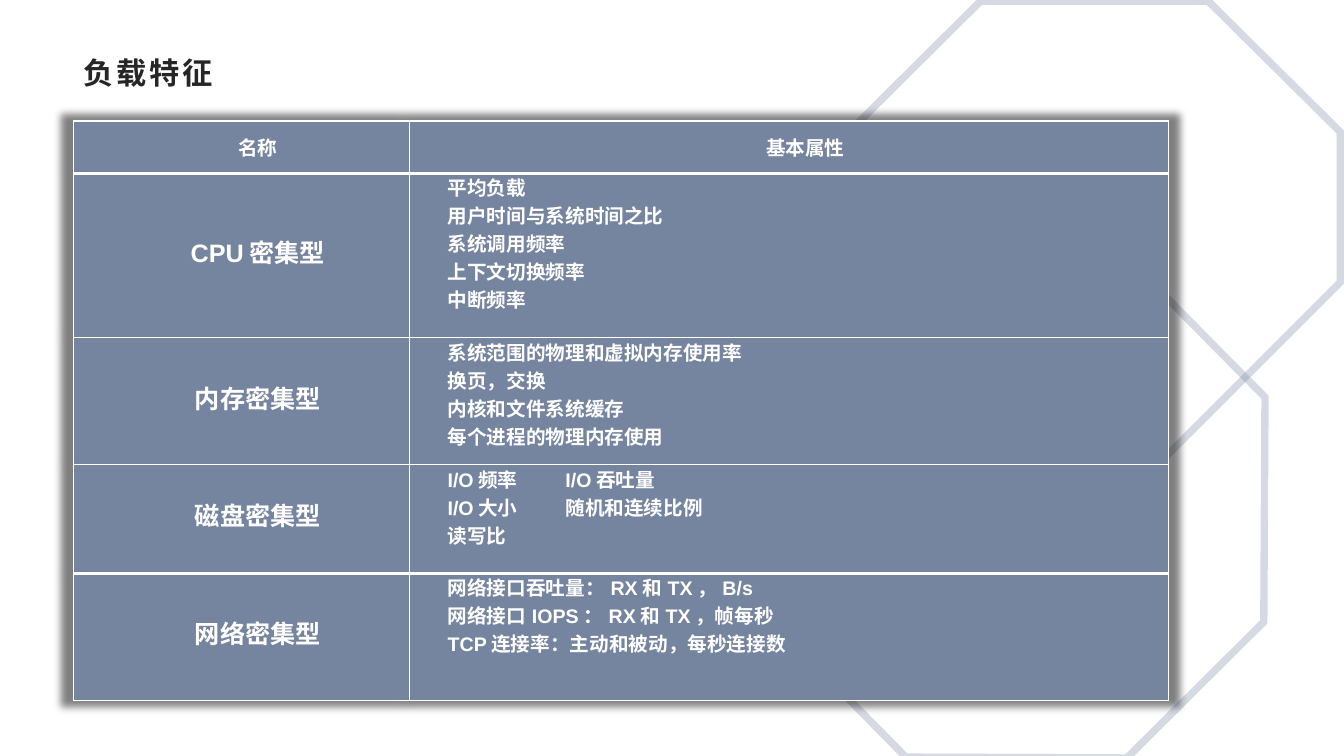
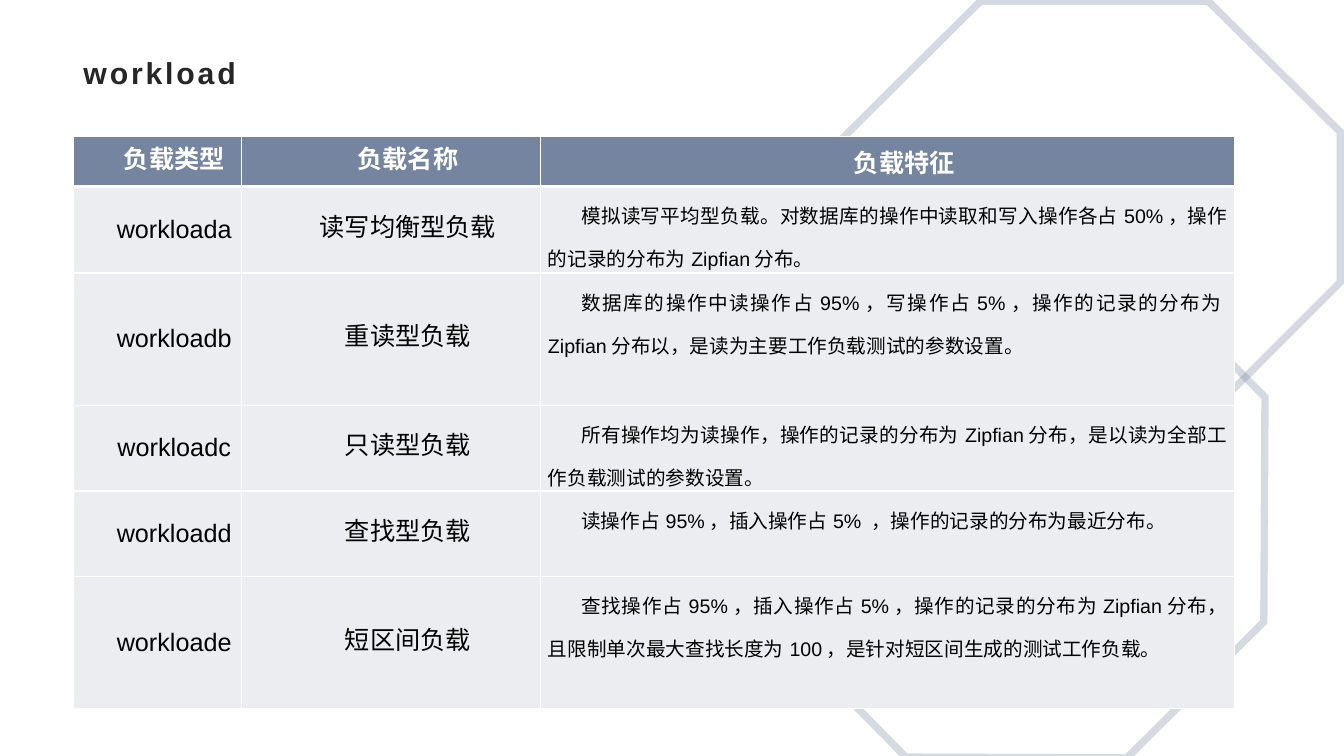
from lxml.etree import SubElement as Sub
from pptx import Presentation as Deck
from pptx.dml.color import RGBColor as Rgb
from pptx.enum.text import MSO_ANCHOR as Anchor, MSO_AUTO_SIZE as Fit, PP_ALIGN as Align
from pptx.oxml.ns import qn
from pptx.util import Cm, Pt

SLATE, PALE, WHITE, BLACK, DARK = "75849F", "ECEDF0", "FFFFFF", "000000", "262626"
RINGS = [
    [(30.45, 0.03), (24.71, 0.03), (19.48, 5.23), (27.58, 13.31), (33.78, 7.11), (33.78, 3.33)],
    [(16.59, 12.75), (22.83, 19.08), (28.4, 19.1), (31.85, 15.67), (31.88, 10.01), (25.7, 3.76)],
]


def hue(code):
    return Rgb.from_string(code)


def add(node, tag, **attrs):
    return Sub(node, qn("a:" + tag), {key: str(val) for key, val in attrs.items()})


def write(frame, text, size=14, color=BLACK, bold=False, align=Align.LEFT,
          gap=None, indent=0, track=0, tabs=()):
    for row, line in enumerate(text.split("\n")):
        para = frame.add_paragraph() if row else frame.paragraphs[0]
        para.alignment = align
        if gap:
            para.line_spacing = gap
        props = para._p.get_or_add_pPr()
        if indent:
            props.set("indent", str(Cm(indent)))
        if "\t" in line:
            add(add(props, "tabLst"), "tab", pos=Cm(tabs[row]), algn="l")
        run = para.add_run()
        run.text = line
        font = run.font
        font.name, font.size, font.bold = "Arial", Pt(size), bold
        font.color.rgb = hue(color)
        if track:
            run._r.get_or_add_rPr().set("spc", str(track * 100))


class Board:
    def __init__(self):
        self.deck = Deck()
        self.deck.slide_width, self.deck.slide_height = Cm(33.87), Cm(19.05)

    def start(self, text):
        self.slide = self.deck.slides.add_slide(self.deck.slide_layouts[5])
        for ring in RINGS:
            self.ring(ring)
        self.title(text)

    def title(self, text):
        box = self.slide.shapes.title
        box.left, box.top, box.width, box.height = Cm(1.85), Cm(1.22), Cm(30.15), Cm(1.22)
        frame = box.text_frame
        frame.auto_size, frame.vertical_anchor = Fit.NONE, Anchor.MIDDLE
        write(frame, text, size=21.6, color=DARK, bold=True, track=2)

    def ring(self, spots):
        first, *rest = [(Cm(x), Cm(y)) for x, y in spots]
        pen = self.slide.shapes.build_freeform(*first)
        pen.add_line_segments(rest, close=True)
        shape = pen.convert_to_shape()
        shape.shadow.inherit = False
        shape.fill.background()
        shape.line.width = Pt(5.25)
        shape.line.color.rgb = hue(SLATE)
        edge = shape.line._get_or_add_ln()
        add(edge.find(".//" + qn("a:srgbClr")), "alpha", val=30000)
        add(edge, "miter", lim=800000)

    def table(self, top, wide, high, cells, pad, heavy, style):
        frame = self.slide.shapes.add_table(
            len(high), len(wide), Cm(1.85), Cm(top), Cm(sum(wide)), Cm(sum(high)))
        grid = frame.table
        grid.horz_banding = False
        for col, width in zip(grid.columns, wide):
            col.width = Cm(width)
        for row, height in zip(grid.rows, high):
            row.height = Cm(height)
        for row, line in enumerate(cells):
            for col, text in enumerate(line):
                last = col == len(wide) - 1
                fill, look = style(row, last)
                cell = grid.cell(row, col)
                cell.margin_left = cell.margin_right = Cm(pad)
                cell.margin_top = cell.margin_bottom = 0
                cell.vertical_anchor = Anchor.TOP if row and last else Anchor.MIDDLE
                self.edges(cell, row in heavy, row + 1 in heavy)
                cell.fill.solid()
                cell.fill.fore_color.rgb = hue(fill)
                base = dict(gap=Pt(20), indent=0.84,
                            align=Align.JUSTIFY if row and last else Align.CENTER)
                write(cell.text_frame, text, **(base | look))
        return grid

    def edges(self, cell, above, below):
        props = cell._tc.get_or_add_tcPr()
        for side, thick in zip("LRTB", (False, False, above, below)):
            edge = add(props, "ln" + side, w=Pt(3 if thick else 1))
            add(add(edge, "solidFill"), "srgbClr", val=WHITE)

    def shade(self, grid):
        props = grid._tbl.tblPr
        glow = add(props, "effectLst")
        props.insert(0, glow)
        cast = add(glow, "outerShdw", blurRad=Pt(5), sx=102000, sy=102000,
                   algn="ctr", rotWithShape=0)
        add(add(cast, "srgbClr", val=BLACK), "alpha", val=50000)


def solid(row, last):
    return SLATE, dict(size=18 if row and not last else 14, color=WHITE, bold=True,
                       tabs=(4.8, 4.5))


def light(row, last):
    if not row:
        return SLATE, dict(size=18, color=WHITE, bold=True, gap=None if last else Pt(20))
    return PALE, dict(size=14, gap=1.5) if last else dict(size=18)


TRAITS = [
    ("名称", "基本属性"),
    ("CPU密集型", "平均负载\n用户时间与系统时间之比\n系统调用频率\n上下文切换频率\n中断频率"),
    ("内存密集型", "系统范围的物理和虚拟内存使用率\n换页，交换\n内核和文件系统缓存\n每个进程的物理内存使用"),
    ("磁盘密集型", "I/O频率\tI/O吞吐量\nI/O大小\t随机和连续比例\n读写比"),
    ("网络密集型", "网络接口吞吐量：RX和TX，B/s\n网络接口IOPS：RX和TX，帧每秒\nTCP连接率：主动和被动，每秒连接数"),
]
LOADS = [
    ("负载类型", "负载名称", "负载特征"),
    ("workloada", "读写均衡型负载",
     "模拟读写平均型负载。对数据库的操作中读取和写入操作各占50%，操作的记录的分布为Zipfian分布。"),
    ("workloadb", "重读型负载",
     "数据库的操作中读操作占95%，写操作占5%，操作的记录的分布为Zipfian分布以，是读为主要工作负载测试的参数设置。"),
    ("workloadc", "只读型负载",
     "所有操作均为读操作，操作的记录的分布为Zipfian分布，是以读为全部工作负载测试的参数设置。"),
    ("workloadd", "查找型负载",
     "读操作占95%，插入操作占5% ，操作的记录的分布为最近分布。"),
    ("workloade", "短区间负载",
     "查找操作占95%，插入操作占5%，操作的记录的分布为Zipfian分布，且限制单次最大查找长度为100，是针对短区间生成的测试工作负载。"),
]


def main():
    board = Board()
    board.start("负载特征")
    grid = board.table(3.05, [8.46, 19.13], [1.32, 4.14, 3.2, 2.74, 3.2],
                       TRAITS, 0.13, {1, 4}, solid)
    board.shade(grid)
    board.start("workload")
    board.table(3.43, [4.24, 7.54, 17.48], [1.27, 2.18, 3.33, 2.16, 2.16, 3.33],
                LOADS, 0.18, {1}, light)
    board.deck.save("out.pptx")


if __name__ == "__main__":
    main()
